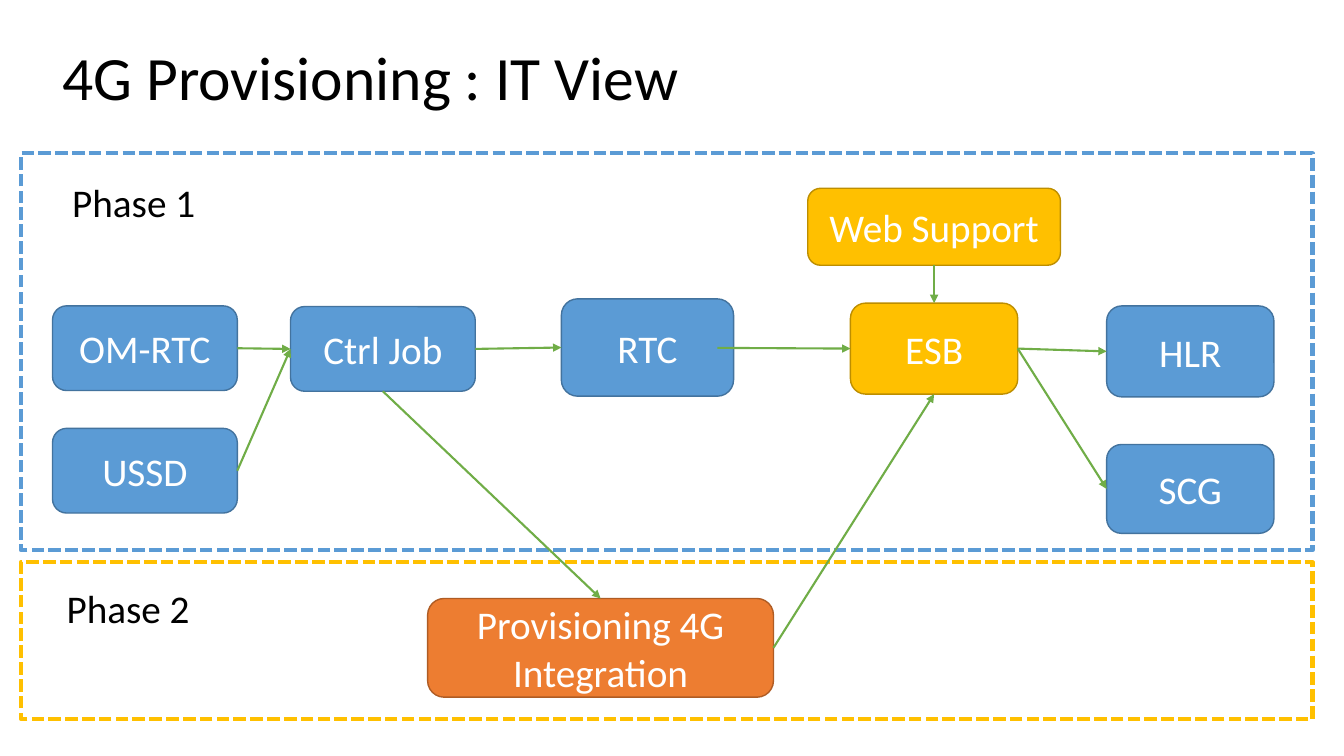
from dataclasses import dataclass
from typing import Any

from lxml.etree import SubElement
from pptx import Presentation
from pptx.dml.color import RGBColor as Color
from pptx.enum.dml import MSO_LINE as Dash
from pptx.enum.shapes import MSO_CONNECTOR as Wire, MSO_SHAPE as Form
from pptx.enum.text import MSO_ANCHOR as Anchor, PP_ALIGN as Align
from pptx.oxml.ns import qn
from pptx.util import Pt


@dataclass(frozen=True)
class Theme:
    font: str = "Calibri"
    title_size: float = 44
    body_size: float = 28
    black: str = "000000"
    white: str = "FFFFFF"
    arrow: str = "70AD47"
    blue: tuple[str, str] = ("5B9BD5", "43739E")
    gold: tuple[str, str] = ("FFC000", "BD8E00")
    orange: tuple[str, str] = ("ED7D31", "AF5C24")
    frame_width: float = 3
    box_width: float = 1
    arrow_width: float = 1.5


@dataclass(frozen=True)
class Area:
    left: float
    top: float
    width: float
    height: float

    def lengths(self) -> tuple[Pt, ...]:
        return tuple(Pt(value) for value in (self.left, self.top, self.width, self.height))


@dataclass(frozen=True)
class Frame:
    area: Area
    color: str


@dataclass(frozen=True)
class Label:
    text: str
    area: Area
    size: float
    body: dict[str, Any]
    spacing: float = 1


@dataclass(frozen=True)
class Node:
    text: str
    area: Area
    colors: tuple[str, str]


@dataclass(frozen=True)
class Link:
    source: str
    source_site: int
    target: str
    target_site: int


THEME = Theme()
TOP, LEFT, BOTTOM, RIGHT = range(4)
MIDDLE = {"word_wrap": True, "vertical_anchor": Anchor.MIDDLE}
UPPER = {"word_wrap": True, "vertical_anchor": Anchor.TOP}

FRAMES = [
    Frame(Area(15, 401.5, 922.5, 112), THEME.gold[0]),
    Frame(Area(15, 109.5, 922.5, 283.5), THEME.blue[0]),
]
LABELS = [
    Label("4G Provisioning : IT View", Area(37.5, 5, 828, 104.5), THEME.title_size, MIDDLE, 0.9),
    Label("Phase 1", Area(44.5, 124, 119, 41), THEME.body_size, UPPER),
    Label("Phase 2", Area(40.5, 413.5, 119, 41), THEME.body_size, UPPER),
]
NODES = [
    Node("OM-RTC", Area(37.5, 218.5, 132, 60.5), THEME.blue),
    Node("RTC", Area(401, 213.5, 123, 69.5), THEME.blue),
    Node("ESB", Area(607.5, 216.5, 119.5, 65), THEME.gold),
    Node("HLR", Area(790.5, 218.5, 119.5, 65), THEME.blue),
    Node("SCG", Area(790.5, 317.5, 119.5, 63.5), THEME.blue),
    Node("Provisioning 4G Integration", Area(305.5, 427.5, 247, 70.5), THEME.orange),
    Node("Ctrl Job", Area(207.5, 219, 132, 60.5), THEME.blue),
    Node("USSD", Area(37.5, 306, 132, 60.5), THEME.blue),
    Node("Web Support", Area(577, 134.5, 180.5, 55), THEME.gold),
]
LINKS = [
    Link("OM-RTC", RIGHT, "Ctrl Job", LEFT),
    Link("USSD", RIGHT, "Ctrl Job", LEFT),
    Link("Ctrl Job", RIGHT, "RTC", LEFT),
    Link("ESB", RIGHT, "HLR", LEFT),
    Link("ESB", RIGHT, "SCG", LEFT),
    Link("Ctrl Job", BOTTOM, "Provisioning 4G Integration", TOP),
    Link("Provisioning 4G Integration", RIGHT, "ESB", BOTTOM),
    Link("Web Support", BOTTOM, "ESB", TOP),
]
RTC_EXIT = (512.5, 248.5)


def apply(target: Any, values: dict[str, Any]) -> None:
    for name, value in values.items():
        setattr(target, name, value)


def write(shape: Any, text: str, size: float, color: str, body: dict[str, Any],
          layout: dict[str, Any]) -> None:
    apply(shape.text_frame, body)
    para = shape.text_frame.paragraphs[0]
    apply(para, layout)
    span = para.add_run()
    span.text = text
    apply(span.font, {"name": THEME.font, "size": Pt(size)})
    span.font.color.rgb = Color.from_string(color)


def add_panel(page: Any, form: Form, area: Area, fill: str, line: str, width: float) -> Any:
    panel = page.shapes.add_shape(form, *area.lengths())
    panel.shadow.inherit = False
    panel.fill.solid()
    panel.fill.fore_color.rgb = Color.from_string(fill)
    panel.line.color.rgb = Color.from_string(line)
    panel.line.width = Pt(width)
    return panel


def add_frame(page: Any, frame: Frame) -> None:
    panel = add_panel(page, Form.RECTANGLE, frame.area, THEME.white, frame.color,
                      THEME.frame_width)
    panel.line.dash_style = Dash.SQUARE_DOT


def add_label(page: Any, label: Label) -> None:
    box = page.shapes.add_textbox(*label.area.lengths())
    write(box, label.text, label.size, THEME.black, label.body,
          {"alignment": Align.LEFT, "line_spacing": label.spacing})


def add_node(page: Any, node: Node) -> Any:
    box = add_panel(page, Form.ROUNDED_RECTANGLE, node.area, *node.colors, THEME.box_width)
    write(box, node.text, THEME.body_size, THEME.white, MIDDLE, {"alignment": Align.CENTER})
    return box


def add_arrow(page: Any, start: tuple[float, float] = (0, 0)) -> Any:
    x, y = (Pt(value) for value in start)
    arrow = page.shapes.add_connector(Wire.STRAIGHT, x, y, x, y)
    arrow.line.color.rgb = Color.from_string(THEME.arrow)
    arrow.line.width = Pt(THEME.arrow_width)
    outline = arrow.line._get_or_add_ln()
    SubElement(outline, qn("a:tailEnd"), type="triangle")
    SubElement(outline.getparent(), qn("a:effectLst"))
    return arrow


def add_link(page: Any, boxes: dict[str, Any], link: Link) -> None:
    arrow = add_arrow(page)
    arrow.begin_connect(boxes[link.source], link.source_site)
    arrow.end_connect(boxes[link.target], link.target_site)


def main() -> None:
    deck = Presentation()
    apply(deck, {"slide_width": Pt(960), "slide_height": Pt(540)})
    page = deck.slides.add_slide(deck.slide_layouts[6])
    for frame in FRAMES:
        add_frame(page, frame)
    boxes = {node.text: add_node(page, node) for node in NODES}
    for link in LINKS:
        add_link(page, boxes, link)
    add_arrow(page, RTC_EXIT).end_connect(boxes["ESB"], LEFT)
    for label in LABELS:
        add_label(page, label)
    deck.save("out.pptx")


main()
